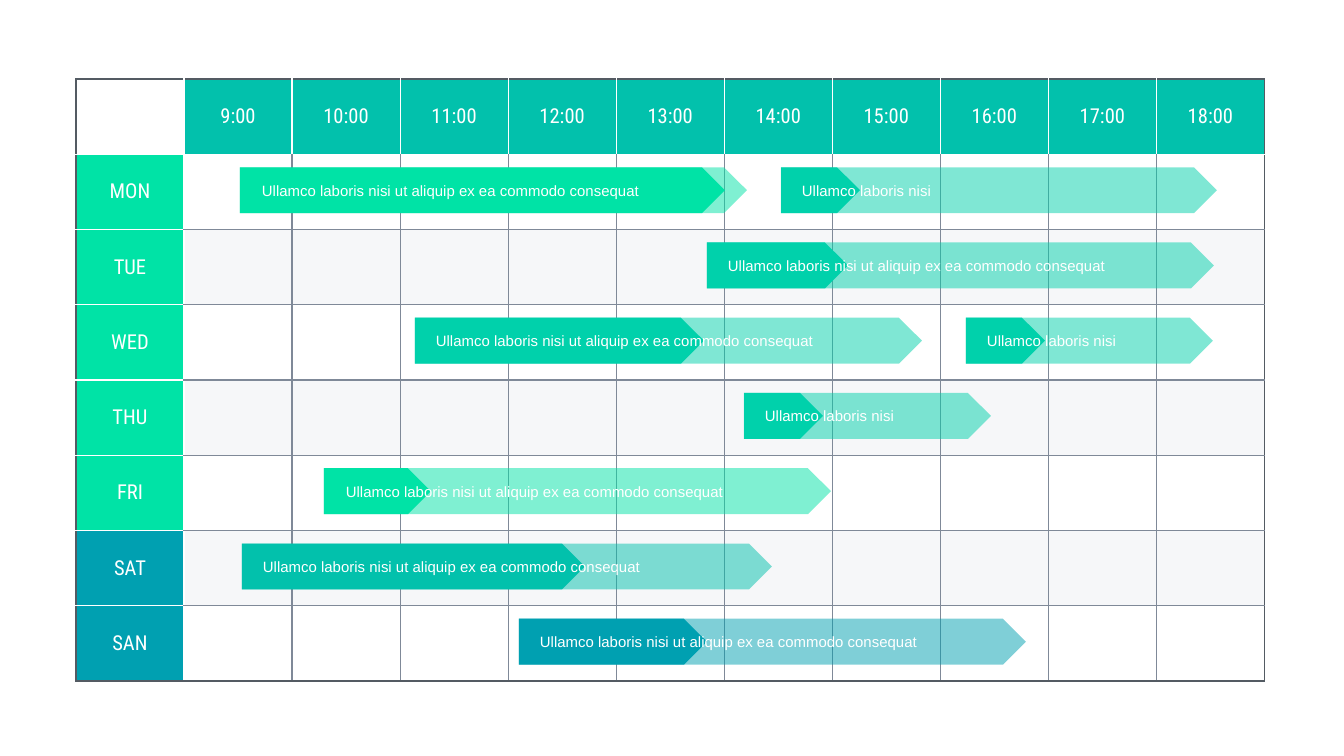
from lxml.etree import SubElement
from pptx import Presentation
from pptx.dml.color import RGBColor
from pptx.enum.shapes import MSO_SHAPE
from pptx.enum.text import MSO_ANCHOR, PP_ALIGN
from pptx.oxml.ns import qn
from pptx.util import Emu, Pt

PX = 914400 / 134.4
C = {"white": "FFFFFF", "frame": "545B63", "grid": "7F8998", "band": "EEF0F4",
     "teal": "02C1AC", "mint": "00E3A6", "jade": "00D1AB", "blue": "00A0B1"}
LONG = "Ullamco laboris nisi ut aliquip ex ea commodo consequat"
SHORT = "Ullamco laboris nisi"
HOURS = [f"{hour}:00" for hour in range(9, 19)]
DAYS = ["MON", "TUE", "WED", "THU", "FRI", "SAT", "SAN"]
LEFT, TOP, WIDTH, HEIGHT = 76, 79, 1189, 602
ROWS, COLS = len(DAYS) + 1, len(HOURS) + 1
INSETS = {"margin_left": Emu(round(5 * PX)), "margin_right": Emu(round(5 * PX)),
          "margin_top": Emu(round(3 * PX)), "margin_bottom": Emu(round(3 * PX))}


def paint(fill, props, color, alpha=100):
    """Fill with a colour; props is the XML element that holds the fill."""
    fill.solid()
    fill.fore_color.rgb = RGBColor.from_string(C[color])
    if alpha < 100:
        SubElement(props.find(qn("a:solidFill"))[0], qn("a:alpha"), val=str(alpha * 1000))


def write(tf, text, font, size):
    p = tf.paragraphs[0]
    r = p.add_run()
    r.text = text
    for key, value in {"name": font, "size": Pt(size), "bold": False}.items():
        setattr(r.font, key, value)
    r.font.color.rgb = RGBColor.from_string(C["white"])
    return p


prs = Presentation()
prs.slide_width, prs.slide_height = Emu(round(1344 * PX)), Emu(round(756 * PX))
s = prs.slides.add_slide(prs.slide_layouts[6])

# Timetable grid
box = [Emu(round(v * PX)) for v in (LEFT, TOP, WIDTH, HEIGHT)]
table = s.shapes.add_table(ROWS, COLS, *box).table
table.first_row = table.horz_banding = False
for column in table.columns:
    column.width = Emu(round(WIDTH * PX / COLS))
for row in table.rows:
    row.height = Emu(round(HEIGHT * PX / ROWS))

for i in range(ROWS):
    for j in range(COLS):
        cell = table.cell(i, j)
        for key, value in {**INSETS, "vertical_anchor": MSO_ANCHOR.MIDDLE}.items():
            setattr(cell, key, value)
        tcPr = cell._tc.get_or_add_tcPr()
        # Outer edges are dark, edges of header cells white, the rest grey
        for side, edge, last, header in (("L", j, COLS, i == 0), ("R", j + 1, COLS, i == 0),
                                         ("T", i, ROWS, j == 0), ("B", i + 1, ROWS, j == 0)):
            if edge in (0, last):
                color = "frame"
            else:
                color = "white" if edge == 1 or header else "grid"
            ln = SubElement(tcPr, qn(f"a:ln{side}"), w=str(Pt(0.75)))
            SubElement(SubElement(ln, qn("a:solidFill")), qn("a:srgbClr"), val=C[color])

        label = ""
        if i == 0 and j > 0:
            label = HOURS[j - 1]
            paint(cell.fill, tcPr, "teal")
        elif j == 0 and i > 0:
            label = DAYS[i - 1]
            paint(cell.fill, tcPr, "blue" if label in ("SAT", "SAN") else "mint")
        elif i > 0 and i % 2 == 0:
            paint(cell.fill, tcPr, "band", 50)
        else:
            cell.fill.background()
        if label:
            write(cell.text_frame, label, "Roboto Condensed", 11).alignment = PP_ALIGN.CENTER

# Task bars: day, left, full length, finished length, colour, text
TASKS = [
    ("MON", 240, 507, 485, "mint", LONG),
    ("MON", 781, 436, 79, "jade", SHORT),
    ("TUE", 707, 507, 141, "jade", LONG),
    ("WED", 415, 507, 289, "jade", LONG),
    ("WED", 966, 247, 79, "jade", SHORT),
    ("THU", 744, 247, 79, "jade", SHORT),
    ("FRI", 324, 507, 107, "mint", LONG),
    ("SAT", 242, 530, 343, "teal", LONG),
    ("SAN", 519, 507, 188, "blue", LONG),
]
for day, x, full, done, color, text in TASKS:
    y = TOP + (DAYS.index(day) + 1) * HEIGHT / ROWS + 13
    group = s.shapes.add_group_shape()
    for length, alpha in ((full, 50), (done, 100)):
        box = [Emu(round(v * PX)) for v in (x, y, length, 46)]
        sp = group.shapes.add_shape(MSO_SHAPE.PENTAGON, *box)
        sp.shadow.inherit = False
        sp.line.fill.background()
        paint(sp.fill, sp._element.spPr, color, alpha)
    indent = 17 if color == "mint" else 16
    box = [Emu(round(v * PX)) for v in (x + indent, y + 11, 418 if text == LONG else 192, 24)]
    tf = group.shapes.add_textbox(*box).text_frame
    for key, value in {**INSETS, "word_wrap": True}.items():
        setattr(tf, key, value)
    write(tf, text, "Arial", 8)

prs.save("out.pptx")
